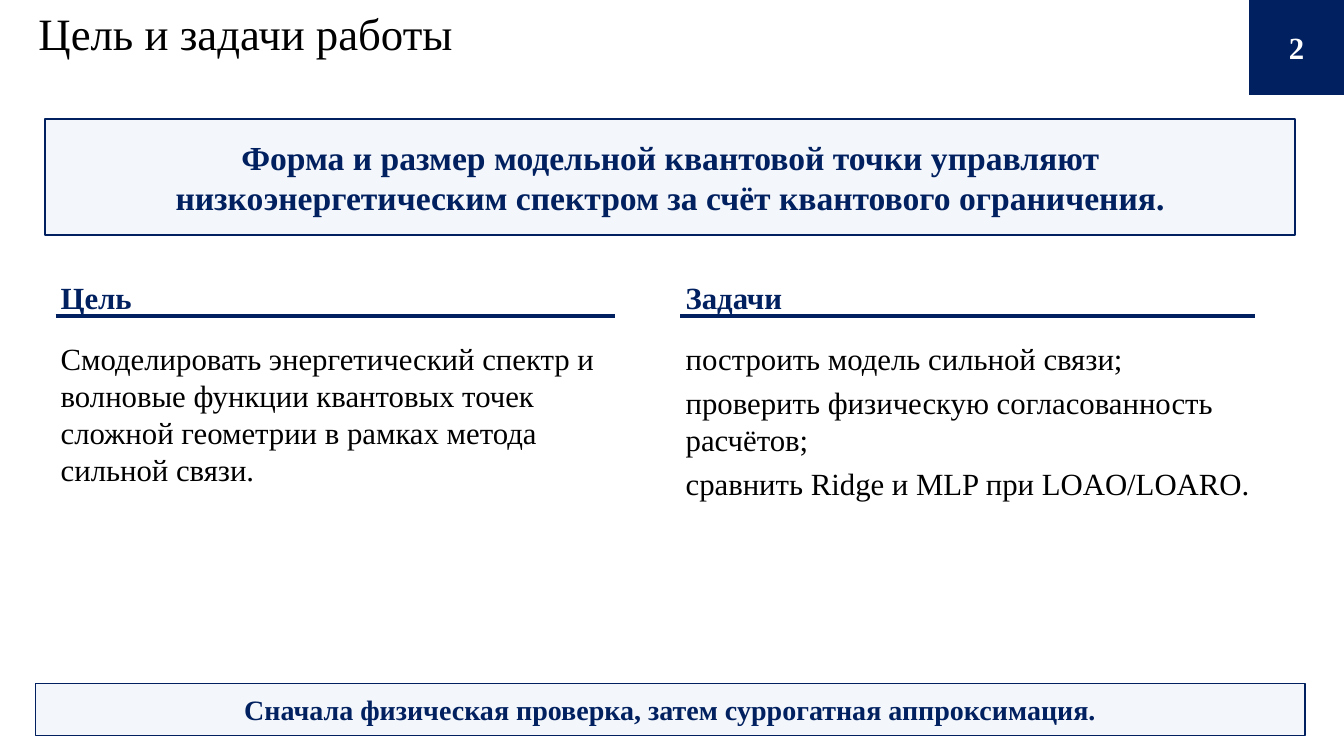
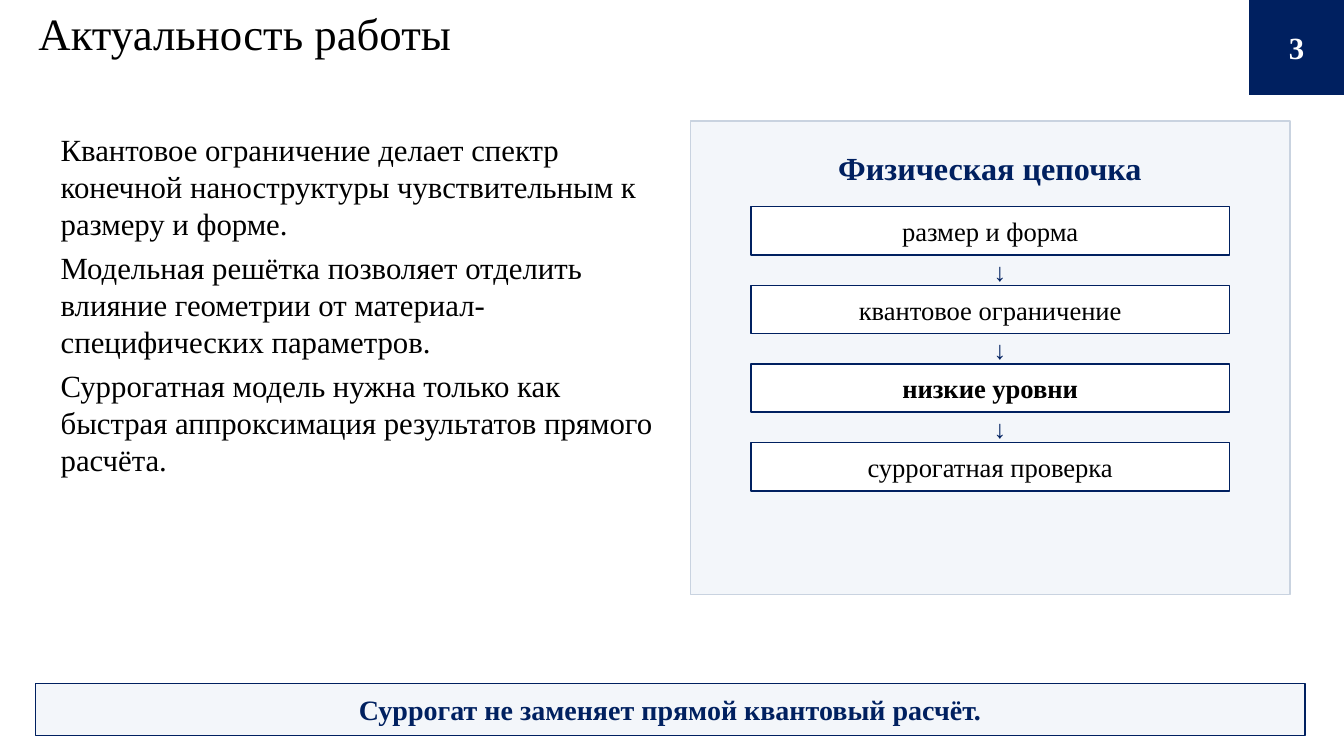
import pptx
import pptx.util
import pptx.dml.color
import pptx.enum.shapes
import pptx.enum.text
import pptx.oxml.ns
from dataclasses import dataclass
from lxml import etree

Cm = pptx.util.Cm
Pt = pptx.util.Pt
ALIGN = pptx.enum.text.PP_ALIGN
ANCHOR = pptx.enum.text.MSO_ANCHOR


@dataclass(frozen=True)
class Theme:
    font: str = "Times New Roman"
    navy: str = "002060"
    pale: str = "F3F6FA"
    border: str = "C9D3E0"
    white: str = "FFFFFF"
    black: str = "000000"
    title: int = 32
    banner: int = 24
    panel: int = 23
    body: int = 22
    footer: int = 20
    step: int = 19
    arrow: int = 18


THEME = Theme()
WIDTH, HEIGHT = 33.87, 19.05
BADGE = 2.39
TEXT_LEFT = 1.4

GOALS = {
    "number": 2,
    "title": "Цель и задачи работы",
    "banner": [
        "Форма и размер модельной квантовой точки управляют",
        "низкоэнергетическим спектром за счёт квантового ограничения.",
    ],
    "columns": [
        {
            "heading": "Цель",
            "left": TEXT_LEFT,
            "rule": 14.1,
            "width": 14.35,
            "body": [
                "Смоделировать энергетический спектр и волновые функции квантовых "
                "точек сложной геометрии в рамках метода сильной связи.",
            ],
        },
        {
            "heading": "Задачи",
            "left": 17.15,
            "rule": 14.48,
            "width": 15.11,
            "body": [
                "построить модель сильной связи;",
                "проверить физическую согласованность расчётов;",
                "сравнить Ridge и MLP при LOAO/LOARO.",
            ],
        },
    ],
    "footer": "Сначала физическая проверка, затем суррогатная аппроксимация.",
}

RELEVANCE = {
    "number": 3,
    "title": "Актуальность работы",
    "body": [
        "Квантовое ограничение делает спектр конечной наноструктуры "
        "чувствительным к размеру и форме.",
        "Модельная решётка позволяет отделить влияние геометрии от "
        "материал-специфических параметров.",
        "Суррогатная модель нужна только как быстрая аппроксимация "
        "результатов прямого расчёта.",
    ],
    "panel": "Физическая цепочка",
    "chain": [
        ("размер и форма", False),
        ("квантовое ограничение", False),
        ("низкие уровни", True),
        ("суррогатная проверка", False),
    ],
    "footer": "Суррогат не заменяет прямой квантовый расчёт.",
}


def rgb(color):
    return pptx.dml.color.RGBColor.from_string(color)


def write(shape, lines, size, color, bold=False, align=ALIGN.LEFT,
          anchor=ANCHOR.TOP, gap=0, top_inset=0.05):
    frame = shape.text_frame
    frame.word_wrap = True
    frame.vertical_anchor = anchor
    frame.margin_left = frame.margin_right = Cm(0.13)
    frame.margin_top, frame.margin_bottom = Cm(top_inset), Cm(0.05)
    frame.text = "\n".join(lines)
    for paragraph in frame.paragraphs:
        paragraph.alignment = align
        paragraph.space_after = Pt(gap)
        for run in paragraph.runs:
            run.font.name = THEME.font
            run.font.size = Pt(size)
            run.font.bold = bold
            run.font.color.rgb = rgb(color)


def add_text(slide, at, lines, size, color, **style):
    shape = slide.shapes.add_textbox(*map(Cm, at))
    write(shape, lines, size, color, **style)
    shape.text_frame.auto_size = pptx.enum.text.MSO_AUTO_SIZE.SHAPE_TO_FIT_TEXT


def add_box(slide, at, fill, line, line_width, lines, size, color,
            anchor=ANCHOR.MIDDLE, **style):
    shape = slide.shapes.add_shape(
        pptx.enum.shapes.MSO_SHAPE.RECTANGLE, *map(Cm, at))
    shape.shadow.inherit = False
    shape.fill.solid()
    shape.fill.fore_color.rgb = rgb(fill)
    if line:
        shape.line.color.rgb = rgb(line)
        shape.line.width = Pt(line_width)
    else:
        shape.line.fill.background()
    write(shape, lines, size, color, align=ALIGN.CENTER, anchor=anchor, **style)


def add_rule(slide, left, top, width):
    rule = slide.shapes.add_connector(
        pptx.enum.shapes.MSO_CONNECTOR.STRAIGHT,
        Cm(left), Cm(top), Cm(left + width), Cm(top))
    rule.line.color.rgb = rgb(THEME.navy)
    rule.line.width = Pt(3.3)
    etree.SubElement(rule._element.spPr, pptx.oxml.ns.qn("a:effectLst"))


def add_body(slide, at, lines):
    add_text(slide, at, lines, THEME.body, THEME.black, gap=5)


def add_frame(presentation, content):
    slide = presentation.slides.add_slide(presentation.slide_layouts[6])
    add_text(slide, (0.84, 0.1, 30.1, 1.98), [content["title"]],
             THEME.title, THEME.black)
    add_box(slide, (WIDTH - BADGE, 0, BADGE, BADGE), THEME.navy, None, 0,
            [str(content["number"])], THEME.body, THEME.white, bold=True)
    add_box(slide, (0.89, 17.22, 32, 1.32), THEME.pale, THEME.navy, 1,
            [content["footer"]], THEME.footer, THEME.navy, bold=True)
    return slide


def build_goals(presentation, content):
    slide = add_frame(presentation, content)
    add_box(slide, (1.14, 3, 31.5, 2.92), THEME.pale, THEME.navy, 1.1,
            content["banner"], THEME.banner, THEME.navy, bold=True)
    for column in content["columns"]:
        left = column["left"]
        add_text(slide, (left, 6.98, column["rule"], 0.97), [column["heading"]],
                 THEME.body, THEME.navy, bold=True)
        add_rule(slide, left, 7.96, column["rule"])
        add_body(slide, (left, 8.51, column["width"], 4.19), column["body"])


def build_relevance(presentation, content):
    slide = add_frame(presentation, content)
    add_body(slide, (TEXT_LEFT, 3.25, 15.24, 6.6), content["body"])
    add_box(slide, (17.4, 3.05, 15.11, 11.94), THEME.pale, THEME.border, 0.8,
            [content["panel"]], THEME.panel, THEME.navy, bold=True,
            anchor=ANCHOR.TOP, top_inset=0.69)
    first_top, pitch, step_height = 5.21, 1.98, 1.22
    for index, (label, bold) in enumerate(content["chain"]):
        top = first_top + index * pitch
        add_box(slide, (18.92, top, 12.07, step_height), THEME.white,
                THEME.navy, 1.1, [label], THEME.step, THEME.black, bold=bold)
        if index < len(content["chain"]) - 1:
            add_text(slide, (24.69, top + step_height - 0.03, 1.02, 0.56), ["↓"],
                     THEME.arrow, THEME.navy, align=ALIGN.CENTER)


def main():
    presentation = pptx.Presentation()
    presentation.slide_width = Cm(WIDTH)
    presentation.slide_height = Cm(HEIGHT)
    build_goals(presentation, GOALS)
    build_relevance(presentation, RELEVANCE)
    presentation.save("out.pptx")


if __name__ == "__main__":
    main()
